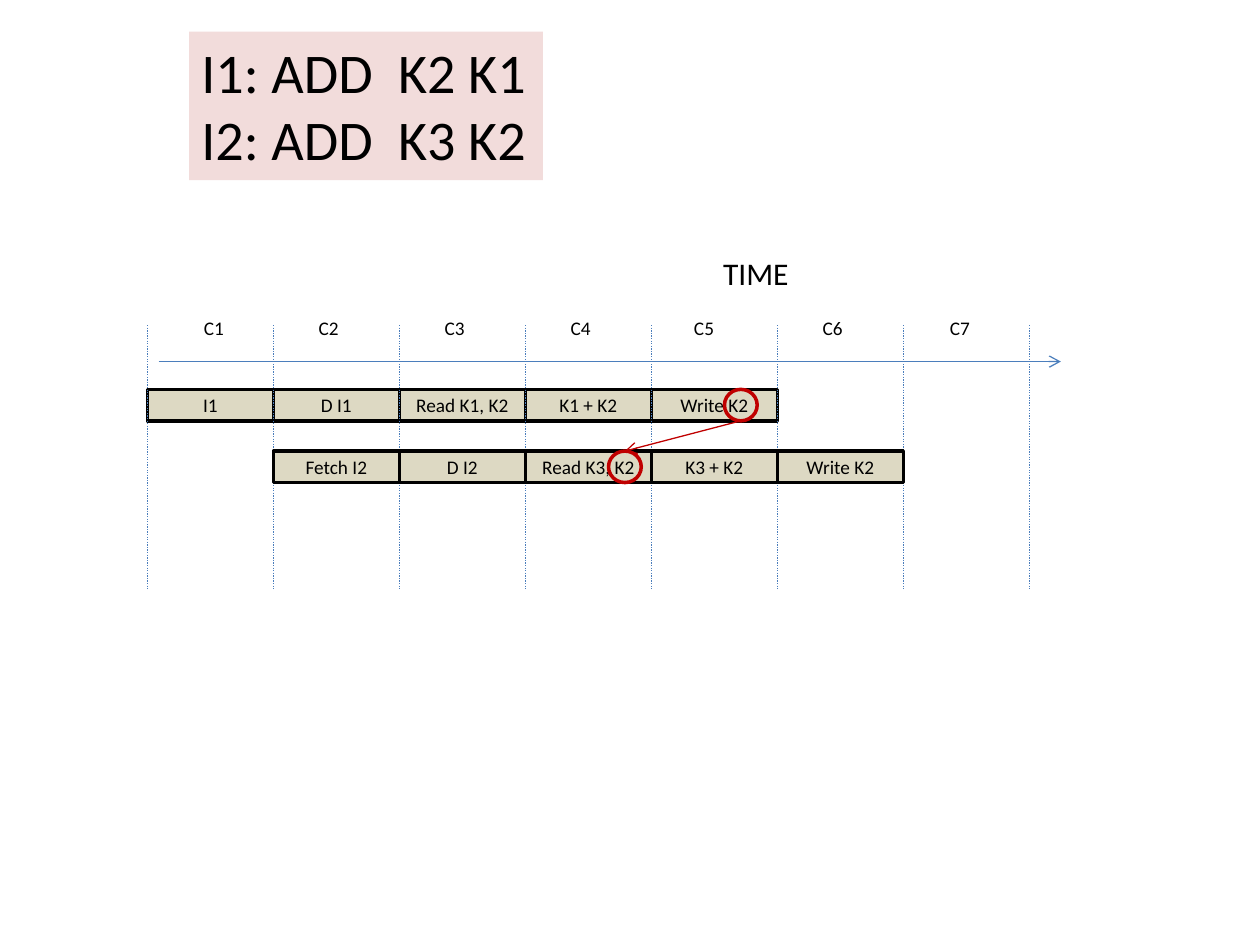
from dataclasses import dataclass

from pptx import Presentation
from pptx.dml.color import RGBColor
from pptx.enum.dml import MSO_LINE_DASH_STYLE as Dash
from pptx.enum.shapes import MSO_CONNECTOR as Connector, MSO_SHAPE as Shape
from pptx.enum.text import MSO_ANCHOR as Anchor, MSO_AUTO_SIZE as AutoSize, PP_ALIGN as Align
from pptx.oxml.ns import qn
from pptx.util import Inches, Pt
from lxml.etree import SubElement


@dataclass(frozen=True)
class Theme:
    font: str = "Calibri"
    ink: str = "000000"
    guide: str = "4B7EBC"
    stage: str = "DDD9C3"
    hazard: str = "C00000"
    code: str = "F2DCDB"
    small: int = 11
    medium: int = 18
    large: int = 32
    thin: float = 0.75
    thick: float = 2


THEME = Theme()
GRID_LEFT, CYCLE = 1.17, 1
GRID_TOP, GRID_BOTTOM = 2.58, 4.67
AXIS_Y = 2.87
STAGE_TOP, STAGE_PITCH, STAGE_HEIGHT = 3.09, 0.49, 0.25
RING_WIDTH = 0.26
CYCLE_OFFSETS = (0.35, 0.26, 0.26, 0.26, 0.24, 0.26, 0.27)
FIRST_INSTRUCTION = ("I1", "D I1", "Read K1, K2", "K1 + K2", "Write K2")
SECOND_INSTRUCTION = ("Fetch I2", "D I2", "Read K3, K2", "K3 + K2", "Write K2")


def column_x(column):
    return GRID_LEFT + column * CYCLE


def row_y(row):
    return STAGE_TOP + row * STAGE_PITCH


def color(value):
    return RGBColor.from_string(value)


def write(frame, text, size=THEME.small, align=None, anchor=Anchor.TOP, wrap=True):
    frame.word_wrap = wrap
    frame.vertical_anchor = anchor
    if not wrap:
        frame.auto_size = AutoSize.SHAPE_TO_FIT_TEXT
    frame.text = text
    for paragraph in frame.paragraphs:
        paragraph.alignment = align
        for run in paragraph.runs:
            run.font.name = THEME.font
            run.font.size = Pt(size)
            run.font.color.rgb = color(THEME.ink)


def add_label(slide, text, left, top, width, height, fill=None, **text_format):
    label = slide.shapes.add_textbox(*map(Inches, (left, top, width, height)))
    if fill:
        label.fill.solid()
        label.fill.fore_color.rgb = color(fill)
    write(label.text_frame, text, wrap=False, **text_format)


def add_outlined(slide, kind, left, row, width, outline, fill=None):
    outlined = slide.shapes.add_shape(
        kind, *map(Inches, (left, row_y(row), width, STAGE_HEIGHT)))
    outlined.shadow.inherit = False
    if fill:
        outlined.fill.solid()
        outlined.fill.fore_color.rgb = color(fill)
    else:
        outlined.fill.background()
    outlined.line.color.rgb = color(outline)
    outlined.line.width = Pt(THEME.thick)
    return outlined


def add_line(slide, start, end, stroke, dash=None, arrow=False):
    line = slide.shapes.add_connector(Connector.STRAIGHT, *map(Inches, start + end))
    line.line.color.rgb = color(stroke)
    line.line.width = Pt(THEME.thin)
    if dash:
        line.line.dash_style = dash
    if arrow:
        SubElement(line.line._get_or_add_ln(), qn("a:tailEnd"), type="arrow")
    SubElement(line._element.spPr, qn("a:effectLst"))


def add_instruction(slide, stages, row):
    for column, stage in enumerate(stages, start=row):
        cell = add_outlined(slide, Shape.RECTANGLE, column_x(column), row, CYCLE,
                            THEME.ink, THEME.stage)
        write(cell.text_frame, stage, align=Align.CENTER, anchor=Anchor.MIDDLE)


def add_cycle_guides(slide):
    for column in range(len(CYCLE_OFFSETS) + 1):
        x = column_x(column)
        add_line(slide, (x, GRID_TOP), (x, GRID_BOTTOM), THEME.guide, Dash.ROUND_DOT)


def add_cycle_labels(slide):
    for column, offset in enumerate(CYCLE_OFFSETS):
        add_label(slide, f"C{column + 1}", column_x(column) + offset, 2.46, 0.36, 0.29)


def add_hazard(slide, written_x, read_x):
    for row, center in enumerate((written_x, read_x)):
        add_outlined(slide, Shape.OVAL, center - RING_WIDTH / 2, row, RING_WIDTH, THEME.hazard)
    add_line(slide, (written_x, row_y(0) + STAGE_HEIGHT), (read_x, row_y(1)),
             THEME.hazard, arrow=True)


def main():
    deck = Presentation()
    deck.slide_width, deck.slide_height = Inches(10), Inches(7.5)
    slide = deck.slides.add_slide(deck.slide_layouts[6])

    add_line(slide, (1.26, AXIS_Y), (8.42, AXIS_Y), THEME.guide, arrow=True)
    add_label(slide, "TIME", 5.64, 1.97, 0.73, 0.4, size=THEME.medium)
    add_instruction(slide, FIRST_INSTRUCTION, row=0)
    add_cycle_guides(slide)
    add_instruction(slide, SECOND_INSTRUCTION, row=1)
    add_cycle_labels(slide)
    add_hazard(slide, written_x=5.88, read_x=4.96)
    add_label(slide, "I1: ADD  K2 K1\vI2: ADD  K3 K2", 1.5, 0.25, 2.81, 1.18,
              fill=THEME.code, size=THEME.large)

    deck.save("out.pptx")


if __name__ == "__main__":
    main()
